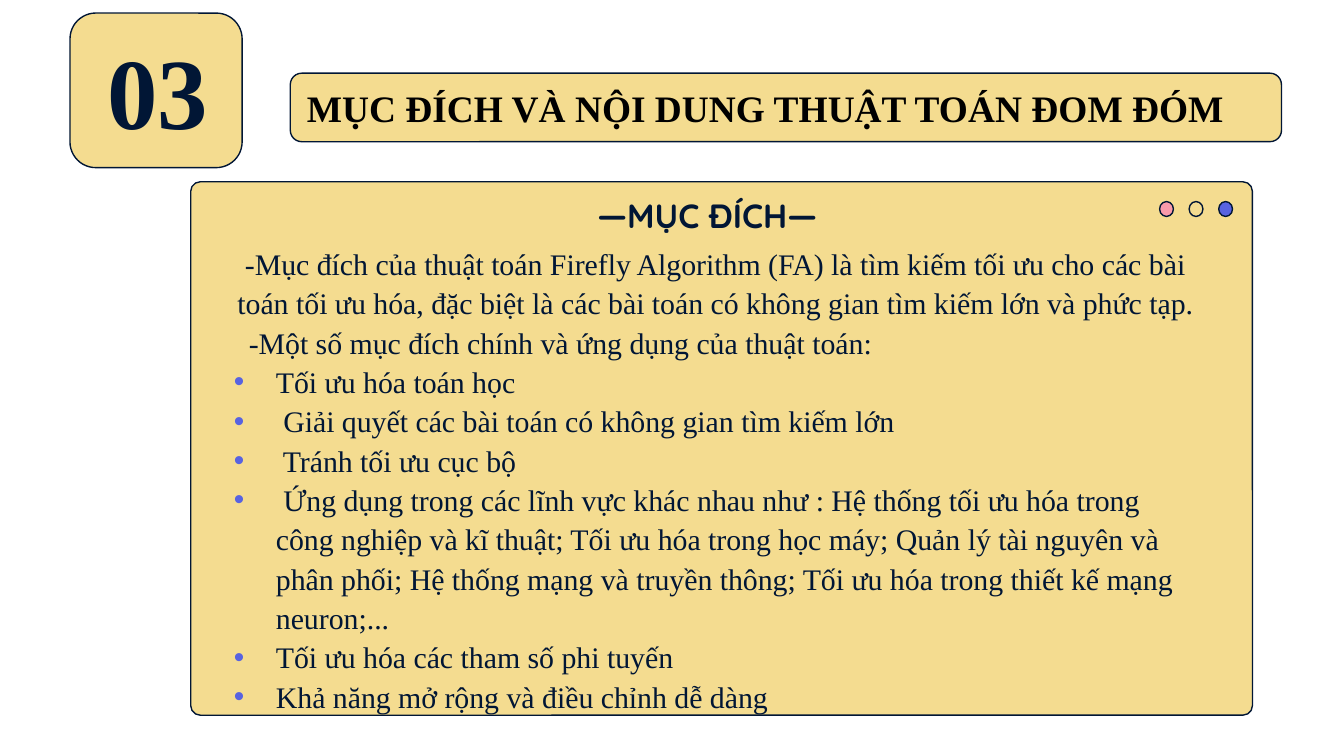
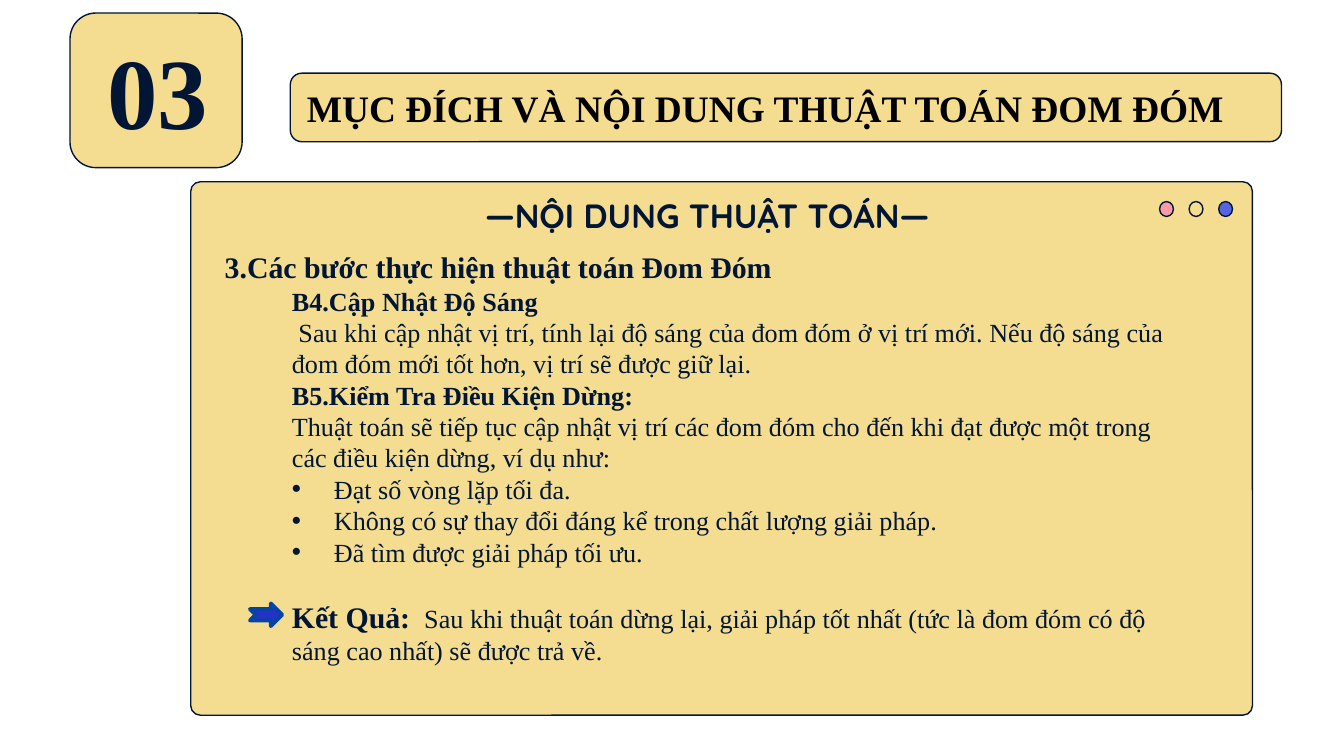
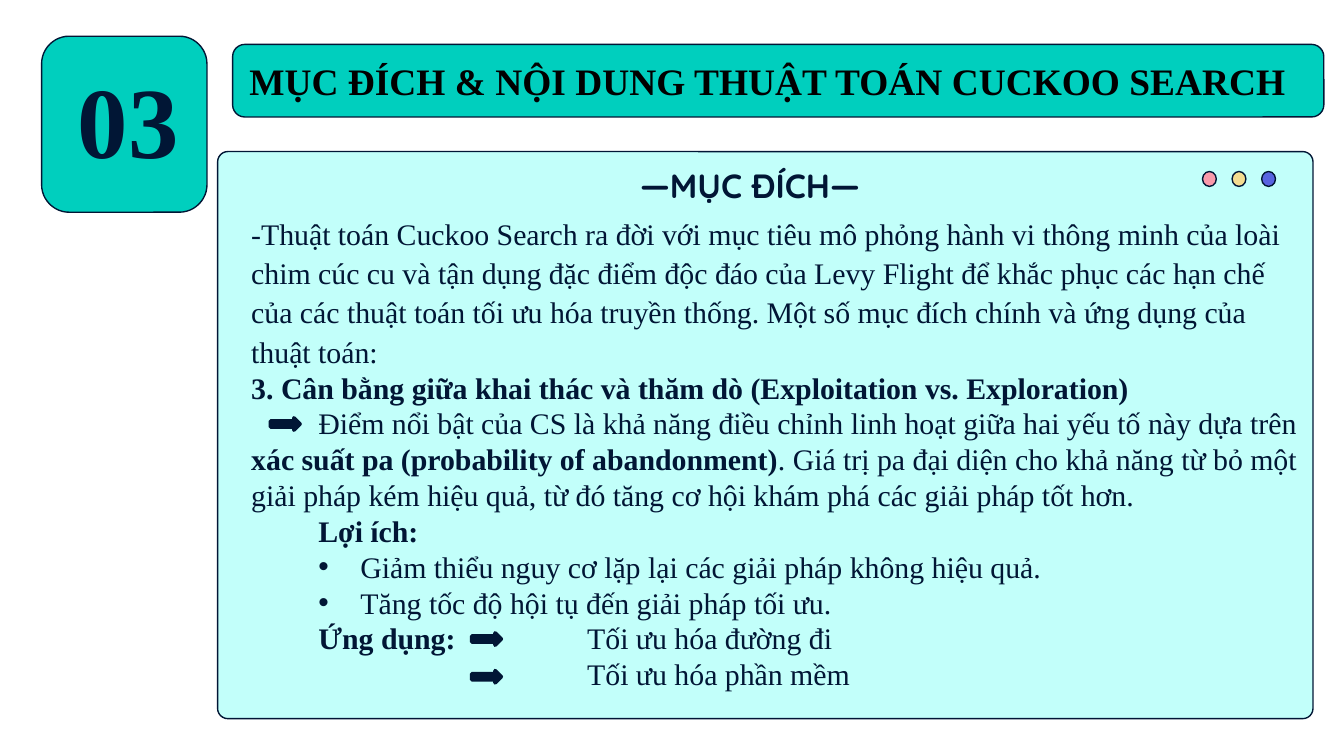
from lxml.etree import SubElement
from pptx import Presentation
from pptx.dml.color import RGBColor
from pptx.enum.shapes import MSO_SHAPE
from pptx.enum.text import MSO_ANCHOR, MSO_AUTO_SIZE, PP_ALIGN
from pptx.oxml.ns import qn
from pptx.util import Pt

NAVY, BLACK, WHITE = "011635", "000000", "FFFFFF"
SAND, TEAL, MINT = "F4DC90", "00CFBE", "C2FFFA"
PINK, VIOLET = "F99AAA", "5863E0"
SERIF, ROUNDED = "Times New Roman", "Quicksand"


def color(value):
    return RGBColor.from_string(value)


def set_frame(box, inset=0, anchor=MSO_ANCHOR.TOP):
    frame = box.text_frame
    frame.word_wrap = True
    frame.auto_size = MSO_AUTO_SIZE.NONE
    frame.vertical_anchor = anchor
    frame.margin_left = frame.margin_right = Pt(inset)
    frame.margin_top = frame.margin_bottom = Pt(inset)
    return frame


def write(frame, *spans, size=16, font=SERIF, ink=NAVY, bold=False, align=PP_ALIGN.LEFT,
          spacing=1.0, before=0, left=0, first=0, bullet=None):
    para = frame.paragraphs[0]
    if para.runs:
        para = frame.add_paragraph()
    para.alignment = align
    para.line_spacing = spacing
    para.space_before = Pt(before)
    para.space_after = Pt(0)
    properties = para._p.get_or_add_pPr()
    properties.set("marL", str(Pt(left)))
    properties.set("indent", str(Pt(first)))
    if bullet:
        tint = SubElement(properties, qn("a:buClr"))
        SubElement(tint, qn("a:srgbClr"), val=bullet)
        SubElement(properties, qn("a:buFont"), typeface="Arial")
        SubElement(properties, qn("a:buChar"), char="•")
    else:
        SubElement(properties, qn("a:buNone"))
    for item in spans:
        text, changes = (item, {}) if isinstance(item, str) else item
        span = para.add_run()
        span.text = text
        span.font.name = font
        span.font.size = Pt(changes.get("size", size))
        span.font.bold = changes.get("bold", bold)
        span.font.color.rgb = color(ink)


class Slides:
    def __init__(self):
        self.deck = Presentation()
        self.deck.slide_width, self.deck.slide_height = Pt(720), Pt(405)
        self.page = None

    def start(self):
        self.page = self.deck.slides.add_slide(self.deck.slide_layouts[1])
        self.page.background.fill.solid()
        self.page.background.fill.fore_color.rgb = color(WHITE)

    def shape(self, kind, place, fill, line=NAVY, weight=0.75, corner=None):
        box = self.page.shapes.add_shape(kind, *map(Pt, place))
        box.shadow.inherit = False
        box.fill.solid()
        box.fill.fore_color.rgb = color(fill)
        box.line.color.rgb = color(line)
        box.line.width = Pt(weight)
        if corner:
            box.adjustments[0] = corner
        return box

    def placeholder(self, index, place):
        box = self.page.placeholders[index]
        box.left, box.top, box.width, box.height = map(Pt, place)
        box.element.getparent().append(box.element)
        return set_frame(box)

    def badge(self, place, number_place, fill):
        self.shape(MSO_SHAPE.ROUNDED_RECTANGLE, place, fill, corner=0.167)
        write(self.placeholder(0, number_place), "03", size=54, bold=True, align=PP_ALIGN.CENTER)

    def bar(self, place, fill, text):
        box = self.shape(MSO_SHAPE.ROUNDED_RECTANGLE, place, fill, corner=0.167)
        write(set_frame(box, 7.2, MSO_ANCHOR.MIDDLE), text, size=20, ink=BLACK, bold=True)

    def panel(self, place, fill, dots_left, dots_top):
        self.shape(MSO_SHAPE.ROUNDED_RECTANGLE, place, fill, corner=0.018)
        for step, tint in enumerate((PINK, SAND, VIOLET)):
            self.shape(MSO_SHAPE.OVAL, (dots_left + 15.84 * step, dots_top, 7.4, 8), tint)

    def heading(self, left, top, text):
        box = self.page.shapes.add_textbox(Pt(left), Pt(top), Pt(358.6), Pt(27.4))
        write(set_frame(box), text, size=18, font=ROUNDED, bold=True, align=PP_ALIGN.CENTER)

    def firefly(self, heading, body_left):
        self.start()
        self.badge((37.5, 7, 92.2, 82.8), (50.4, 15.4, 68.4, 61.2), SAND)
        self.bar((155.5, 39.2, 531, 36.7), SAND, "MỤC ĐÍCH VÀ NỘI DUNG THUẬT TOÁN ĐOM ĐÓM")
        self.panel((102.2, 97.4, 568.8, 285.8), SAND, 621.2, 108)
        self.heading(199.6, 104.4, heading)
        return self.placeholder(1, (body_left, 129.6, 516.2, 241.9))

    def cuckoo(self, heading):
        self.start()
        self.badge((22.3, 19.4, 88.6, 94.3), (36, 31, 65.5, 69.1), TEAL)
        self.bar((124.6, 23.8, 584.6, 38.9), TEAL, "MỤC ĐÍCH & NỘI DUNG THUẬT TOÁN CUCKOO SEARCH")
        self.panel((116.6, 81.2, 586.8, 303.8), MINT, 644.2, 91.9)
        self.heading(222.5, 88.3, heading)
        return self.placeholder(1, (134.6, 113.5, 565.2, 267.1))


def firefly_purpose(slides):
    body = slides.firefly("—MỤC ĐÍCH—", 125.3)
    write(body, "-Mục đích của thuật toán Firefly Algorithm (FA) là tìm kiếm tối ưu cho các bài toán "
          "tối ưu hóa, đặc biệt là các bài toán có không gian tìm kiếm lớn và phức tạp.",
          align=PP_ALIGN.CENTER, spacing=1.1)
    write(body, "-Một số mục đích chính và ứng dụng của thuật toán:", first=8, spacing=1.1)
    for text in (
        "Tối ưu hóa toán học",
        " Giải quyết các bài toán có không gian tìm kiếm lớn",
        " Tránh tối ưu cục bộ",
        " Ứng dụng trong các lĩnh vực khác nhau như : Hệ thống tối ưu hóa trong công nghiệp và "
        "kĩ thuật; Tối ưu hóa trong học máy; Quản lý tài nguyên và phân phối; Hệ thống mạng và "
        "truyền thông; Tối ưu hóa trong thiết kế mạng neuron;...",
        "Tối ưu hóa các tham số phi tuyến",
        "Khả năng mở rộng và điều chỉnh dễ dàng",
    ):
        write(body, text, spacing=1.1, left=22.5, first=-22.5, bullet=VIOLET)


def firefly_steps(slides):
    body = slides.firefly("—NỘI DUNG THUẬT TOÁN—", 120.4)
    write(body, "3.Các bước thực hiện thuật toán Đom Đóm", bold=True, spacing=1.2)
    for step, text in (
        ("B4.Cập Nhật Độ Sáng",
         " Sau khi cập nhật vị trí, tính lại độ sáng của đom đóm ở vị trí mới. Nếu độ sáng của "
         "đom đóm mới tốt hơn, vị trí sẽ được giữ lại."),
        ("B5.Kiểm Tra Điều Kiện Dừng:",
         "Thuật toán sẽ tiếp tục cập nhật vị trí các đom đóm cho đến khi đạt được một trong "
         "các điều kiện dừng, ví dụ như:"),
    ):
        write(body, step, size=14, bold=True, left=36)
        write(body, text, size=14, left=36)
    for text in (
        "Đạt số vòng lặp tối đa.",
        "Không có sự thay đổi đáng kể trong chất lượng giải pháp.",
        "Đã tìm được giải pháp tối ưu.",
    ):
        write(body, text, size=14, left=58.5, first=-22.5, bullet=NAVY)
    write(body, ("Kết Quả: ", {"size": 16, "bold": True}),
          " Sau khi thuật toán dừng lại, giải pháp tốt nhất (tức là đom đóm có độ sáng cao nhất) "
          "sẽ được trả về.", size=14, left=36, before=16.8)
    slides.shape(MSO_SHAPE.NOTCHED_RIGHT_ARROW, (133.9, 323.3, 17.3, 12.2), "2532C5", "0344A5", 2)


def cuckoo_purpose(slides):
    body = slides.cuckoo("—MỤC ĐÍCH—")
    write(body, "-Thuật toán Cuckoo Search ra đời với mục tiêu mô phỏng hành vi thông minh của loài "
          "chim cúc cu và tận dụng đặc điểm độc đáo của Levy Flight để khắc phục các hạn chế của "
          "các thuật toán tối ưu hóa truyền thống. Một số mục đích chính và ứng dụng của thuật toán:",
          spacing=1.1)
    write(body, "3. Cân bằng giữa khai thác và thăm dò (Exploitation vs. Exploration)", bold=True)
    write(body, "Điểm nổi bật của CS là khả năng điều chỉnh linh hoạt giữa hai yếu tố này dựa trên ",
          ("xác suất pa (probability of abandonment)", {"bold": True}),
          ". Giá trị pa đại diện cho khả năng từ bỏ một giải pháp kém hiệu quả, từ đó tăng cơ hội "
          "khám phá các giải pháp tốt hơn.", first=36)
    write(body, "Lợi ích:", bold=True, first=36)
    for text in (
        "Giảm thiểu nguy cơ lặp lại các giải pháp không hiệu quả.",
        "Tăng tốc độ hội tụ đến giải pháp tối ưu.",
    ):
        write(body, text, left=58.5, first=-22.5, bullet=NAVY)
    write(body, ("Ứng dụng: \t\t", {"bold": True}), "Tối ưu hóa đường đi", first=36)
    write(body, "Tối ưu hóa phần mềm", left=180)
    for left, top in ((144.9, 223.9), (252.7, 339.1), (252.7, 359.3)):
        slides.shape(MSO_SHAPE.RIGHT_ARROW, (left, top, 15.8, 6.5), NAVY, weight=2)


def main():
    slides = Slides()
    firefly_purpose(slides)
    firefly_steps(slides)
    cuckoo_purpose(slides)
    slides.deck.save("out.pptx")


if __name__ == "__main__":
    main()
